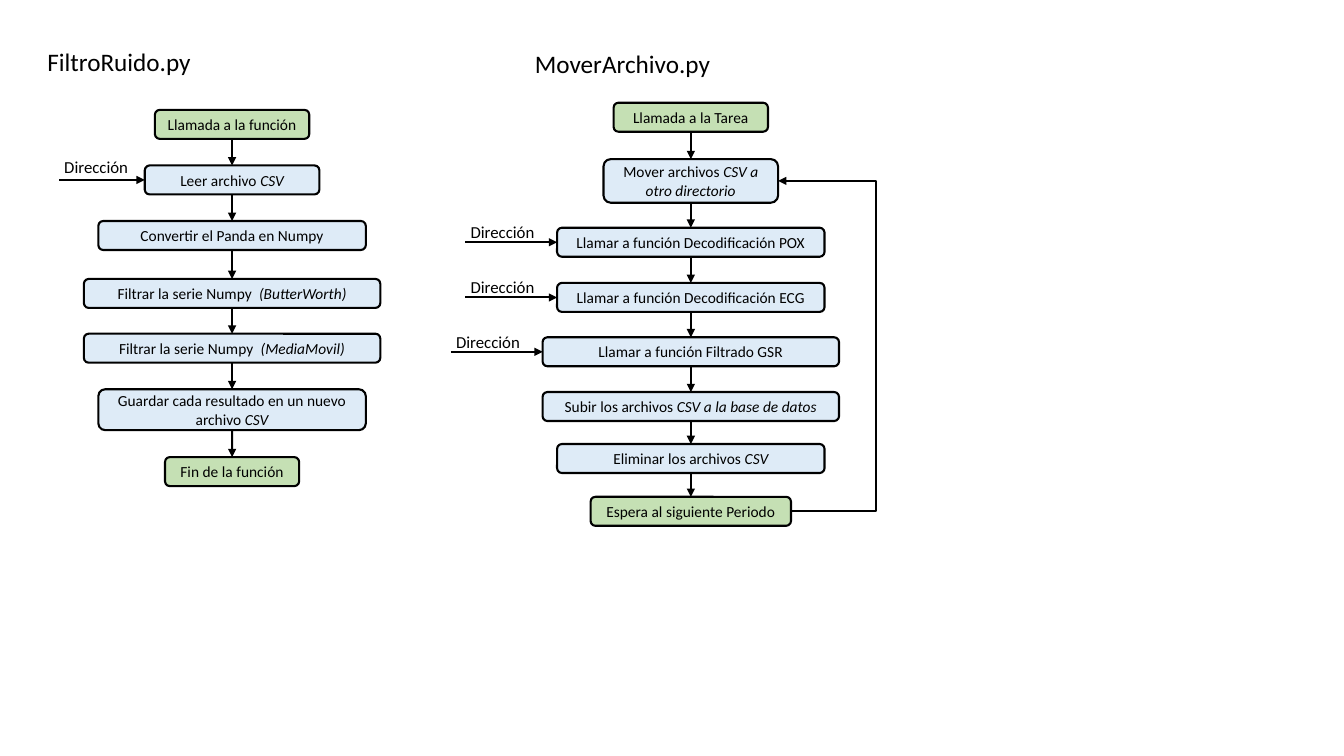
from dataclasses import dataclass

from lxml import etree
from pptx import Presentation
from pptx.dml.color import RGBColor
from pptx.enum.shapes import MSO_CONNECTOR, MSO_SHAPE
from pptx.enum.text import MSO_ANCHOR, MSO_AUTO_SIZE, PP_ALIGN
from pptx.oxml.ns import qn
from pptx.util import Cm, Pt

ROUNDED = MSO_SHAPE.ROUNDED_RECTANGLE
STRAIGHT, ELBOW = MSO_CONNECTOR.STRAIGHT, MSO_CONNECTOR.ELBOW
LEFT, CENTER = PP_ALIGN.LEFT, PP_ALIGN.CENTER
TOP, MIDDLE = MSO_ANCHOR.TOP, MSO_ANCHOR.MIDDLE
FIT_SHAPE = MSO_AUTO_SIZE.SHAPE_TO_FIT_TEXT
SIDE_TOP, SIDE_LEFT, SIDE_BOTTOM, SIDE_RIGHT = range(4)
TITLE_ONLY = 5


@dataclass(frozen=True)
class Theme:
    font: str = "Calibri"
    ink: RGBColor = RGBColor(0x00, 0x00, 0x00)
    action: RGBColor = RGBColor(0xDE, 0xEB, 0xF7)
    terminal: RGBColor = RGBColor(0xC5, 0xE0, 0xB4)
    heading_size: Pt = Pt(18)
    label_size: Pt = Pt(12)
    step_size: Pt = Pt(11)
    line_width: Pt = Pt(1.5)


THEME = Theme()

# Box heights and widths in centimetres
ROW, TALL_LEFT, TALL_RIGHT = 0.73, 1.03, 1.1
START, SHORT, MEDIUM, WIDE = 3.89, 4.4, 6.74, 7.47

# Each step: top, width, height, fill, upright text, italic text
FILTER_STEPS = [
    (2.77, START, ROW, THEME.terminal, "Llamada a la función", ""),
    (4.17, SHORT, ROW, THEME.action, "Leer archivo ", "CSV"),
    (5.57, MEDIUM, ROW, THEME.action, "Convertir el Panda en Numpy", ""),
    (7.03, WIDE, ROW, THEME.action, "Filtrar la serie Numpy  ", "(ButterWorth)"),
    (8.41, WIDE, ROW, THEME.action, "Filtrar la serie Numpy  ", "(MediaMovil)"),
    (9.81, MEDIUM, TALL_LEFT, THEME.action,
     "Guardar cada resultado en un nuevo archivo ", "CSV"),
    (11.52, 3.38, ROW, THEME.terminal, "Fin de la función", ""),
]
MOVE_STEPS = [
    (2.59, START, ROW, THEME.terminal, "Llamada a la Tarea", ""),
    (4.01, SHORT, TALL_RIGHT, THEME.action, "Mover archivos ", "CSV a otro directorio"),
    (5.74, MEDIUM, ROW, THEME.action, "Llamar a función Decodificación POX", ""),
    (7.13, MEDIUM, ROW, THEME.action, "Llamar a función Decodificación ECG", ""),
    (8.5, WIDE, ROW, THEME.action, "Llamar a función Filtrado GSR", ""),
    (9.88, WIDE, ROW, THEME.action, "Subir los archivos ", "CSV a la base de datos"),
    (11.19, MEDIUM, ROW, THEME.action, "Eliminar los archivos ", "CSV"),
    (12.52, 5.05, ROW, THEME.terminal, "Espera al siguiente Periodo", ""),
]


def apply(target, values):
    for name, value in values.items():
        setattr(target, name, value)


def write(shape, parts, size, align, frame_format):
    """Fill a shape with one paragraph made of (text, italic) parts."""
    apply(shape.text_frame, frame_format)
    para = shape.text_frame.paragraphs[0]
    para.alignment = align
    for text, italic in parts:
        span = para.add_run()
        span.text = text
        apply(span.font, {"name": THEME.font, "size": size, "italic": italic})
        span.font.color.rgb = THEME.ink


def style_line(line):
    line.color.rgb = THEME.ink
    line.width = THEME.line_width


def write_heading(shape, text):
    write(shape, [(text, False)], THEME.heading_size, LEFT,
          {"word_wrap": False, "auto_size": FIT_SHAPE, "vertical_anchor": TOP})


def add_step(page, center, step):
    top, width, height, fill, upright, italic = step
    box = page.shapes.add_shape(
        ROUNDED, Cm(center - width / 2), Cm(top), Cm(width), Cm(height))
    box.shadow.inherit = False
    box.fill.solid()
    box.fill.fore_color.rgb = fill
    style_line(box.line)
    parts = [part for part in ((upright, False), (italic, True)) if part[0]]
    write(box, parts, THEME.step_size, CENTER,
          {"word_wrap": True, "vertical_anchor": MIDDLE})
    return box


def add_arrow(page, kind, start, end):
    arrow = page.shapes.add_connector(kind, *start, *end)
    style_line(arrow.line)
    properties = arrow.element.spPr
    etree.SubElement(properties.find(qn("a:ln")), qn("a:tailEnd"), type="triangle")
    etree.SubElement(properties, qn("a:effectLst"))
    return arrow


def join_down(page, upper, lower):
    middle = upper.left + upper.width // 2
    arrow = add_arrow(page, STRAIGHT, (middle, upper.top + upper.height),
                      (middle, lower.top))
    arrow.begin_connect(upper, SIDE_BOTTOM)
    arrow.end_connect(lower, SIDE_TOP)


def add_flow(page, center, steps):
    boxes = [add_step(page, center, step) for step in steps]
    for upper, lower in zip(boxes, boxes[1:]):
        join_down(page, upper, lower)
    return boxes


def add_input(page, box, length, lift):
    """Draw a labelled arrow into the left side of a box."""
    start, level = box.left - length, box.top + box.height // 2
    arrow = add_arrow(page, STRAIGHT, (start, level), (box.left, level))
    arrow.end_connect(box, SIDE_LEFT)
    label = page.shapes.add_textbox(start - Cm(0.12), level - lift, Cm(2.16), Cm(0.77))
    write(label, [("Dirección", False)], THEME.label_size, LEFT,
          {"word_wrap": True, "auto_size": FIT_SHAPE})


def add_return(page, last, first, lane):
    """Lead from the right of the last box round a lane to the first box."""
    start = (last.left + last.width, last.top + last.height // 2)
    end = (first.left + first.width, first.top + first.height // 2)
    arrow = add_arrow(page, ELBOW, start, end)
    arrow.begin_connect(last, SIDE_RIGHT)
    arrow.end_connect(first, SIDE_RIGHT)
    bend = round(100000 * (lane - start[0]) / (end[0] - start[0]))
    guides = arrow.element.spPr.find(qn("a:prstGeom")).get_or_add_avLst()
    etree.SubElement(guides, qn("a:gd"), name="adj1", fmla=f"val {bend}")


def main():
    deck = Presentation()
    deck.slide_width, deck.slide_height = Cm(33.87), Cm(19.05)
    page = deck.slides.add_slide(deck.slide_layouts[TITLE_ONLY])

    # Headings
    title = page.shapes.title
    apply(title, {"left": Cm(0.94), "top": Cm(1.04),
                  "width": Cm(4.17), "height": Cm(1.03)})
    write_heading(title, "FiltroRuido.py")
    second = page.shapes.add_textbox(Cm(13.23), Cm(1.09), Cm(4.98), Cm(1.03))
    write_heading(second, "MoverArchivo.py")

    # Noise filter flow
    filter_boxes = add_flow(page, 5.85, FILTER_STEPS)
    add_input(page, filter_boxes[1], Cm(2.16), Cm(0.71))

    # File moving flow with its return path
    move_boxes = add_flow(page, 17.41, MOVE_STEPS)
    for box in move_boxes[2:5]:
        add_input(page, box, Cm(2.31), Cm(0.64))
    add_return(page, move_boxes[-1], move_boxes[1], Cm(22.07))

    deck.save("out.pptx")


if __name__ == "__main__":
    main()
